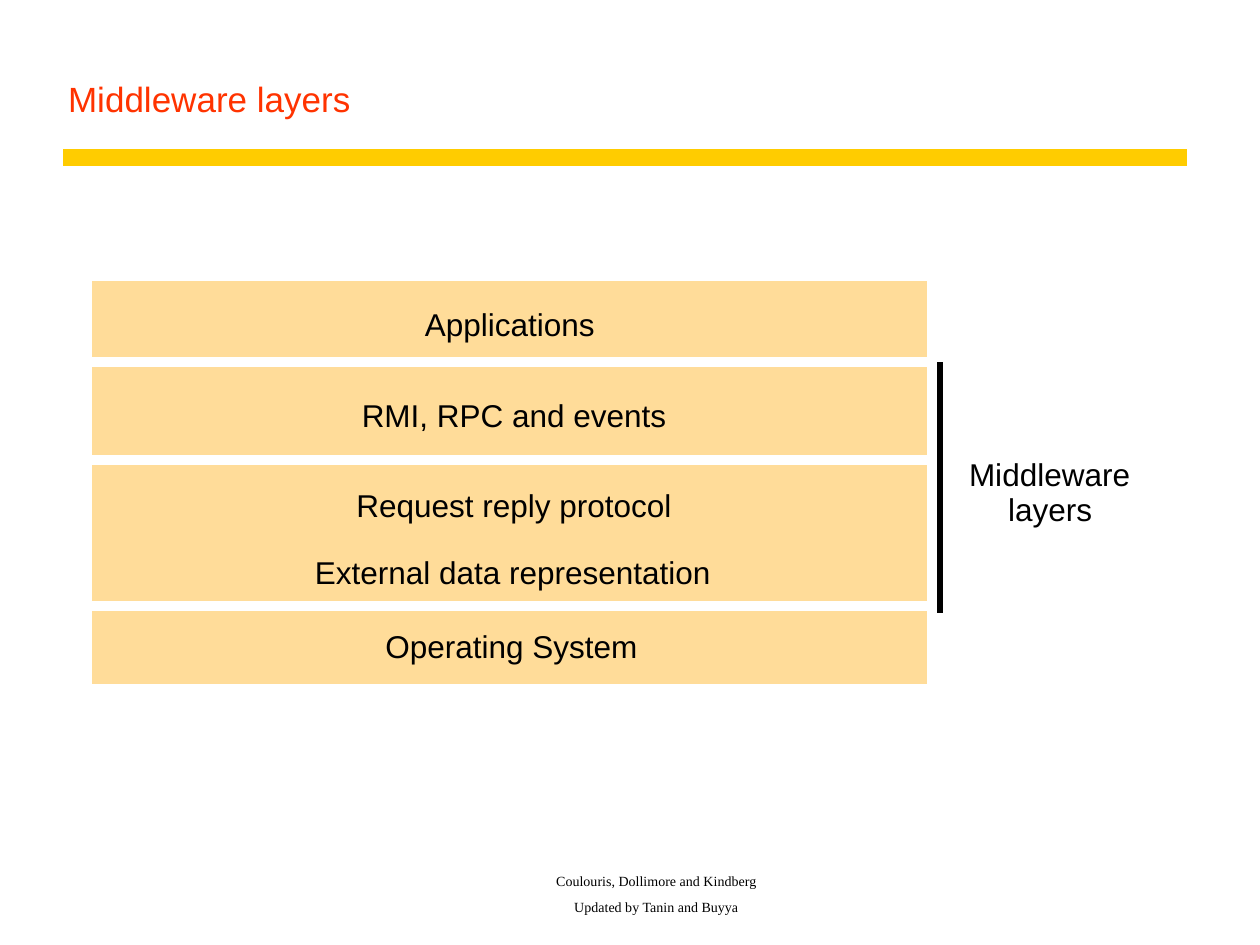
from pptx import Presentation
from pptx.dml.color import RGBColor
from pptx.enum.shapes import MSO_CONNECTOR, MSO_SHAPE
from pptx.enum.text import MSO_ANCHOR, MSO_AUTO_SIZE, PP_ALIGN
from pptx.oxml.ns import qn
from pptx.util import Inches, Pt
from lxml import etree

RECT = MSO_SHAPE.RECTANGLE
STRAIGHT = MSO_CONNECTOR.STRAIGHT
BOTTOM = MSO_ANCHOR.BOTTOM
LEFT, CENTER = PP_ALIGN.LEFT, PP_ALIGN.CENTER
FIT_SHAPE = MSO_AUTO_SIZE.SHAPE_TO_FIT_TEXT

COLORS = {"title": "FF3300", "rule": "FFCC00", "band": "FFDC99",
          "gap": "FFFFFF", "ink": "000000"}
BAND_LEFT, BAND_WIDTH = 0.72, 6.65
FRAME_MARGIN = 0.03
LABEL_SLACK = 0.05


class SlideBuilder:
    sans, serif = "Arial", "Times New Roman"

    def __init__(self, slide):
        self.slide = slide

    def color(self, name):
        return RGBColor.from_string(COLORS[name])

    def font(self, p, size, name=sans, color="ink"):
        p.font.size = Pt(size)
        p.font.name = name
        p.font.color.rgb = self.color(color)

    def title(self, text, left, top, width, height):
        sp = self.slide.shapes.title
        sp.left, sp.top = Inches(left), Inches(top)
        sp.width, sp.height = Inches(width), Inches(height)
        tf = sp.text_frame
        tf.text = text
        tf.vertical_anchor = BOTTOM
        p = tf.paragraphs[0]
        p.alignment = LEFT
        self.font(p, 20, color="title")

    def rule(self, left, right, y, weight):
        line = self.slide.shapes.add_connector(
            STRAIGHT, Inches(left), Inches(y), Inches(right), Inches(y))
        line.line.color.rgb = self.color("rule")
        line.line.width = Pt(weight)
        etree.SubElement(line._element.spPr, qn("a:effectLst"))

    def rect(self, left, top, width, height, fill=None, line=None, weight=0):
        """Draw a rectangle; its outline, if any, has square corners."""
        sp = self.slide.shapes.add_shape(
            RECT, Inches(left), Inches(top), Inches(width), Inches(height))
        sp.shadow.inherit = False
        if fill:
            sp.fill.solid()
            sp.fill.fore_color.rgb = self.color(fill)
        else:
            sp.fill.background()
        if line:
            sp.line.color.rgb = self.color(line)
            sp.line.width = Pt(weight)
            ln = sp._element.spPr.find(qn("a:ln"))
            etree.SubElement(ln, qn("a:miter"), lim="800000")
        else:
            sp.line.fill.background()

    def band(self, top, height):
        """Draw a filled layer and the white frame that sets it apart."""
        m = FRAME_MARGIN
        self.rect(BAND_LEFT, top, BAND_WIDTH, height, fill="band")
        self.rect(BAND_LEFT - m, top - m, BAND_WIDTH + 2 * m, height + 2 * m,
                  line="gap", weight=5.6)

    def label(self, text, left, top, width):
        """Centre one line of text, with slack on both sides against wrapping."""
        box = self.slide.shapes.add_textbox(
            Inches(left - LABEL_SLACK), Inches(top),
            Inches(width + 2 * LABEL_SLACK), Inches(0.3))
        tf = box.text_frame
        tf.margin_left = tf.margin_right = tf.margin_top = tf.margin_bottom = 0
        tf.word_wrap = True
        tf.auto_size = FIT_SHAPE
        tf.text = text
        p = tf.paragraphs[0]
        p.alignment = CENTER
        self.font(p, 18)

    def footer(self, lines, left, top, width, height):
        box = self.slide.shapes.add_textbox(
            Inches(left), Inches(top), Inches(width), Inches(height))
        tf = box.text_frame
        tf.word_wrap = True
        tf.vertical_anchor = BOTTOM
        tf.text = "\n".join(lines)
        for p in tf.paragraphs:
            p.alignment = CENTER
            p.space_before = Pt(5)
            self.font(p, 8, self.serif)


def main():
    prs = Presentation()
    prs.slide_width, prs.slide_height = Inches(10), Inches(7.5)
    s = SlideBuilder(prs.slides.add_slide(prs.slide_layouts[5]))

    s.rule(0.5, 9.42, 1.25, 10)
    s.footer(["Coulouris, Dollimore and Kindberg", "Updated by Tanin and Buyya"],
             2.17, 7, 6.08, 0.31)
    s.title("Middleware layers", 0.44, 0.25, 8.97, 0.75)

    # The bands cover all but the right edge of this bracket.
    s.rect(7.08, 2.9, 0.38, 1.94, line="ink", weight=3.37)
    for top, height in [(2.22, 3.22), (3.62, 1.16), (2.9, 0.72)]:
        s.band(top, height)

    for text, left, top, width in [
        ("Applications", 3.37, 2.42, 1.35),
        ("RMI, RPC and events", 2.87, 3.14, 2.42),
        ("Request reply protocol", 2.83, 3.86, 2.5),
        ("External data representation", 2.5, 4.39, 3.14),
        ("Operating System", 3.06, 4.98, 2),
        ("Middleware", 7.69, 3.61, 1.28),
        ("layers", 8, 3.89, 0.67),
    ]:
        s.label(text, left, top, width)

    prs.save("out.pptx")


if __name__ == "__main__":
    main()
